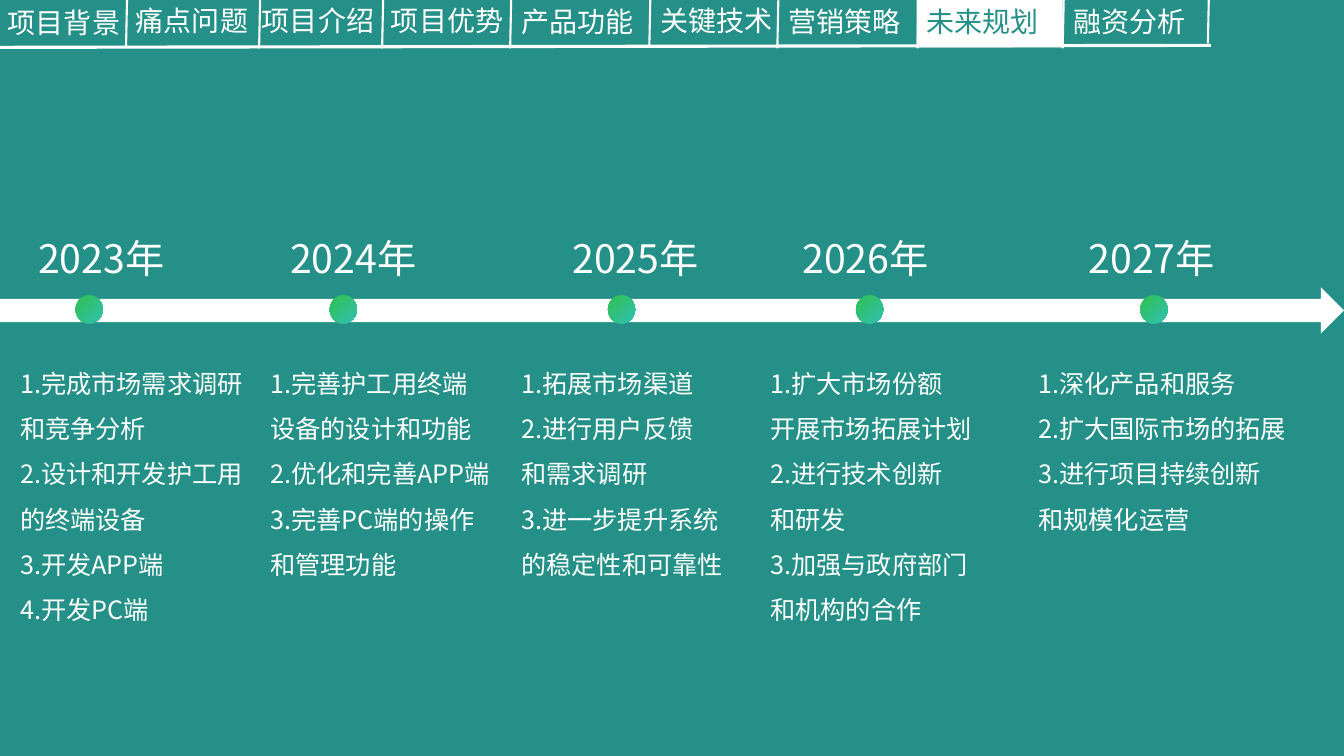
from dataclasses import dataclass

from lxml.etree import SubElement
from pptx import Presentation
from pptx.dml.color import RGBColor
from pptx.enum.shapes import MSO_CONNECTOR, MSO_SHAPE
from pptx.enum.text import MSO_ANCHOR, MSO_AUTO_SIZE, PP_ALIGN
from pptx.oxml.ns import qn
from pptx.util import Pt

PX = 9144  # EMU; 100 px to the inch
COMPARISON_LAYOUT = 4


@dataclass(frozen=True)
class Theme:
    teal: RGBColor = RGBColor(0x24, 0x90, 0x87)
    white: RGBColor = RGBColor(0xFF, 0xFF, 0xFF)
    dot_start: RGBColor = RGBColor(0x30, 0xC0, 0x4F)
    dot_end: RGBColor = RGBColor(0x30, 0xC0, 0xB4)
    font: str = "Noto Sans CJK JP"
    tab_size: int = 20
    year_size: int = 28
    list_size: int = 18


class Painter:
    """Draws elements on one page, in px, in the given theme."""

    def __init__(self, page, theme):
        self.page = page
        self.theme = theme
        self.bodies = [holder for holder in page.placeholders
                       if holder.placeholder_format.idx > 0]
        page.background.fill.solid()
        page.background.fill.fore_color.rgb = theme.teal

    def place(self, box, left, top, width, height):
        box.left, box.top = left * PX, top * PX
        box.width, box.height = width * PX, height * PX

    def set_text(self, box, text, size, color, spacing=1.0):
        frame = box.text_frame
        frame.text = text
        frame.word_wrap = True
        frame.auto_size = MSO_AUTO_SIZE.NONE
        frame.vertical_anchor = MSO_ANCHOR.TOP
        for para in frame.paragraphs:
            para.alignment = PP_ALIGN.LEFT
            para.line_spacing = spacing
            para.space_before = Pt(0)
            for span in para.runs:
                font = span.font
                font.size, font.bold, font.name = Pt(size), False, self.theme.font
                font.color.rgb = color
                east_asian = SubElement(span._r.get_or_add_rPr(), qn("a:ea"))
                east_asian.set("typeface", self.theme.font)

    def label(self, text, size, left, top, width, height):
        box = self.page.shapes.add_textbox(0, 0, 0, 0)
        self.place(box, left, top, width, height)
        self.set_text(box, text, size, self.theme.white)

    def active_tab(self, text, left, top, width, height):
        box = self.page.shapes.title
        self.place(box, left, top, width, height)
        box.fill.solid()
        box.fill.fore_color.rgb = self.theme.white
        self.set_text(box, text, self.theme.tab_size, self.theme.teal)

    def goal_list(self, lines, left, top, width, height):
        """Fill the next body placeholder, or a text box when none is left."""
        if self.bodies:
            box = self.bodies.pop(0)
        else:
            box = self.page.shapes.add_textbox(0, 0, 0, 0)
        self.place(box, left, top, width, height)
        self.set_text(box, "\n".join(lines), self.theme.list_size,
                      self.theme.white, 1.5)
        for para in box.text_frame.paragraphs:
            properties = para._p.get_or_add_pPr()
            properties.set("marL", "0")
            properties.set("indent", "0")
            SubElement(properties, qn("a:buNone"))

    def line(self, start, end, weight):
        rule = self.page.shapes.add_connector(
            MSO_CONNECTOR.STRAIGHT, *(value * PX for value in (*start, *end)))
        rule.line.color.rgb = self.theme.white
        rule.line.width = Pt(weight)
        SubElement(rule._element.spPr, qn("a:effectLst"))

    def shape(self, kind, left, top, width, height):
        box = self.page.shapes.add_shape(kind, 0, 0, 0, 0)
        self.place(box, left, top, width, height)
        box.shadow.inherit = False
        box.line.fill.background()
        return box

    def arrow(self, left, top, width, height):
        fill = self.shape(MSO_SHAPE.RIGHT_ARROW, left, top, width, height).fill
        fill.solid()
        fill.fore_color.rgb = self.theme.white

    def dot(self, left, top, width, height):
        fill = self.shape(MSO_SHAPE.OVAL, left, top, width, height).fill
        fill.gradient()
        fill.gradient_angle = 315
        colors = (self.theme.dot_start, self.theme.dot_end)
        for position, (stop, color) in enumerate(zip(fill.gradient_stops, colors)):
            stop.position = position
            stop.color.rgb = color


# text, left, top, width, height
TABS = [
    ("项目背景", -2, 1, 138, 47),
    ("痛点问题", 125, -1, 444, 44),
    ("项目介绍", 250, -1, 444, 44),
    ("项目优势", 378, -1, 444, 44),
    ("产品功能", 507, 0, 444, 44),
    ("关键技术", 645, -1, 444, 44),
    ("营销策略", 772, 0, 444, 44),
    ("融资分析", 1055, 0, 144, 44),
]

# x and y of the upper end
SEPARATORS = [(126, -1), (258, 0), (380, 0), (507, 0), (645, -1),
              (772, 0), (911, 0), (1055, 0), (1199, -5)]

# year, year left, year width, dot left, list left, goals
MILESTONES = [
    ("2023年", 28, 170, 75, 10,
     ["1.完成市场需求调研", "和竞争分析", "2.设计和开发护工用", "的终端设备",
      "3.开发APP端", "4.开发PC端"]),
    ("2024年", 278, 166, 327, 258,
     ["1.完善护工用终端", "设备的设计和功能", "2.优化和完善APP端",
      "3.完善PC端的操作", "和管理功能"]),
    ("2025年", 558, 174, 603, 507,
     ["1.拓展市场渠道", "2.进行用户反馈", "和需求调研", "3.进一步提升系统",
      "的稳定性和可靠性"]),
    ("2026年", 786, 182, 849, 754,
     ["1.扩大市场份额", "开展市场拓展计划", "2.进行技术创新", "和研发",
      "3.加强与政府部门", "和机构的合作"]),
    ("2027年", 1070, 181, 1131, 1020,
     ["1.深化产品和服务", "2.扩大国际市场的拓展", "3.进行项目持续创新",
      "和规模化运营"]),
]


def main():
    deck = Presentation()
    deck.slide_width, deck.slide_height = 1333 * PX, 750 * PX
    page = deck.slides.add_slide(deck.slide_layouts[COMPARISON_LAYOUT])
    theme = Theme()
    painter = Painter(page, theme)

    painter.active_tab("未来规划", 909, -1, 145, 48)
    painter.line((-2, 47), (1201, 45), 2.25)
    for x, y in SEPARATORS:
        painter.line((x, y), (x - 1, y + 48), 1.5)
    for text, *area in TABS:
        painter.label(text, theme.tab_size, *area)

    painter.arrow(0, 285, 1333, 46)
    for year, year_left, year_width, dot_left, list_left, goals in MILESTONES:
        painter.dot(dot_left, 293, 27, 28)
        painter.label(year, theme.year_size, year_left, 228, year_width, 57)
        painter.goal_list(goals, list_left, 345, 444, 10 + 45 * len(goals))

    deck.save("out.pptx")


if __name__ == "__main__":
    main()
